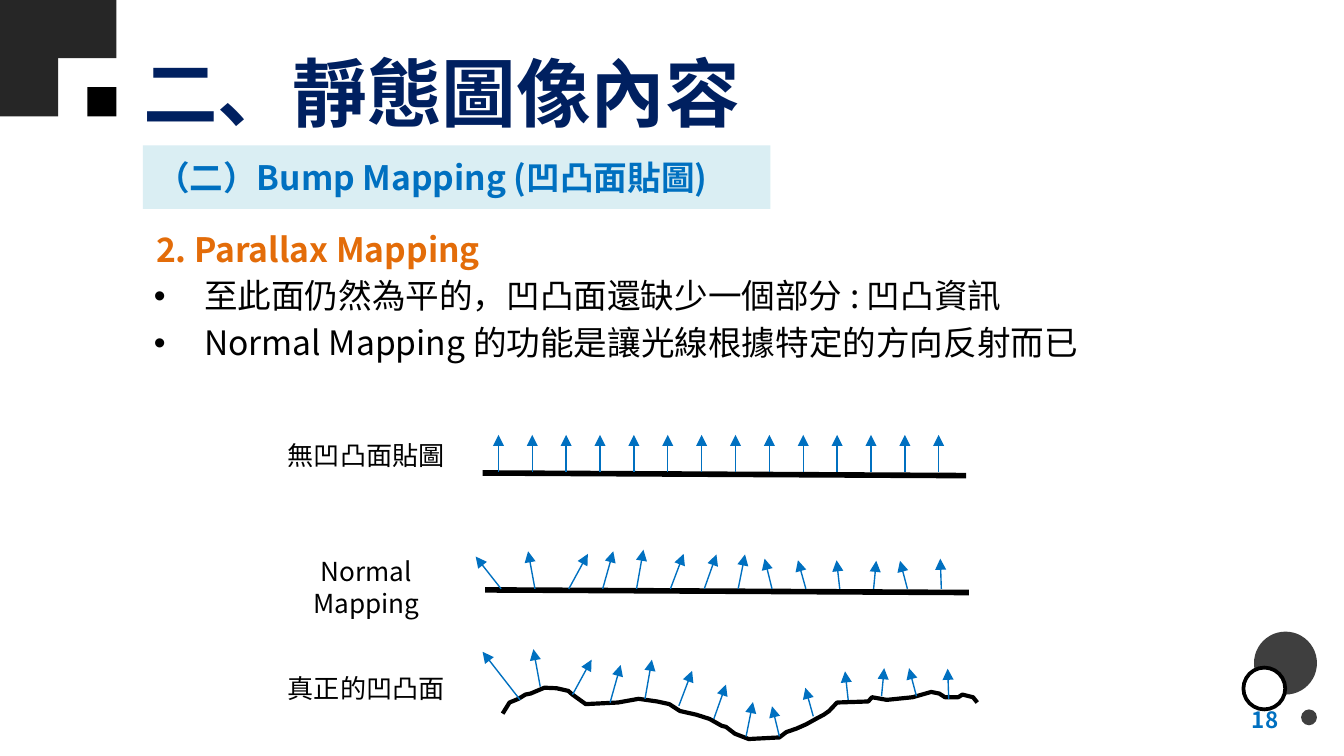
from lxml import etree
from pptx import Presentation
from pptx.dml.color import RGBColor
from pptx.enum.shapes import MSO_CONNECTOR as Connector, MSO_SHAPE as Shape
from pptx.enum.text import MSO_ANCHOR as Anchor, PP_ALIGN as Align
from pptx.oxml.ns import qn
from pptx.util import Cm, Pt

NAVY = RGBColor(0x00, 0x20, 0x60)
BLUE = RGBColor(0x00, 0x70, 0xC0)
PALE = RGBColor(0xDA, 0xEE, 0xF3)
ORANGE = RGBColor(0xE3, 0x6C, 0x09)
BLACK = RGBColor(0x00, 0x00, 0x00)
WHITE = RGBColor(0xFF, 0xFF, 0xFF)
CHARCOAL = RGBColor(0x26, 0x26, 0x26)
GREY = RGBColor(0x3F, 0x3F, 0x3F)

LABELS = ["無凹凸面貼圖", "Normal Mapping", "真正的凹凸面"]
BULLETS = [
    "至此面仍然為平的，凹凸面還缺少一個部分 : 凹凸資訊",
    "Normal Mapping 的功能是讓光線根據特定的方向反射而已",
]

# Centimetres from the foot of each normal to its tip
UPRIGHT = [(0, -0.7)] * 14
LEANS = [
    (-0.48, -0.61), (-0.13, -0.71), (0.36, -0.66), (0.2, -0.71), (0.13, -0.74),
    (0.25, -0.66), (0.23, -0.65), (0.13, -0.65), (-0.14, -0.57), (-0.15, -0.54),
    (-0.06, -0.54), (0.05, -0.53), (-0.14, -0.53), (-0.02, -0.57),
]
BUMP_LEANS = [(-0.71, -0.91)] + LEANS[1:]
BUMP_FEET = [
    (9.83, 13.23), (10.21, 12.98), (10.82, 13.13), (11.53, 13.28), (12.19, 13.21),
    (12.83, 13.34), (13.49, 13.59), (14.1, 13.92), (14.73, 13.92), (15.37, 13.54),
    (16.03, 13.23), (16.66, 13.16), (17.32, 13.16), (17.93, 13.21),
]
# Outline of the bumpy surface, in hundredths of a centimetre
BUMPS = [
    (950, 1349), (963, 1328), (980, 1321), (993, 1313), (1003, 1311), (1029, 1300),
    (1052, 1301), (1074, 1306), (1082, 1313), (1107, 1331), (1168, 1328), (1207, 1321),
    (1242, 1326), (1265, 1331), (1285, 1344), (1316, 1351), (1341, 1359), (1364, 1372),
    (1372, 1374), (1389, 1387), (1415, 1397), (1473, 1394), (1486, 1384), (1506, 1377),
    (1524, 1369), (1542, 1359), (1557, 1351), (1567, 1344), (1582, 1328), (1641, 1326),
    (1648, 1318), (1676, 1323), (1725, 1318), (1760, 1308), (1775, 1311), (1786, 1318),
    (1811, 1318), (1819, 1313), (1839, 1318), (1847, 1328),
]


class Painter:
    font = "Noto Sans CJK TC"

    def __init__(self, slide):
        self.slide = slide

    def shape(self, kind, left, top, width, height, fill, line=None):
        shape = self.slide.shapes.add_shape(kind, Cm(left), Cm(top), Cm(width), Cm(height))
        shape.shadow.inherit = False
        shape.fill.solid()
        shape.fill.fore_color.rgb = fill
        if line is None:
            shape.line.fill.background()
        else:
            shape.line.color.rgb = line
            shape.line.width = Pt(2)
        return shape

    def span(self, para, text, size, color, bold=False):
        span = para.add_run()
        span.text = text
        span.font.name = self.font
        span.font.size = Pt(size)
        span.font.bold = bold
        span.font.color.rgb = color
        etree.SubElement(span._r.get_or_add_rPr(), qn("a:ea"), typeface=self.font)

    def label(self, box, text, size, color, bold=False, align=Align.LEFT, anchor=Anchor.MIDDLE):
        box.text_frame.word_wrap = True
        box.text_frame.vertical_anchor = anchor
        para = box.text_frame.paragraphs[0]
        para.alignment = align
        self.span(para, text, size, color, bold)

    def box(self, left, top, width, height):
        return self.slide.shapes.add_textbox(Cm(left), Cm(top), Cm(width), Cm(height))

    def bullets(self, box, texts, size, color):
        frame = box.text_frame
        frame.word_wrap = True
        for index, text in enumerate(texts):
            para = frame.add_paragraph() if index else frame.paragraphs[0]
            props = para._p.get_or_add_pPr()
            props.set("marL", str(Cm(1.27)))
            props.set("indent", str(Cm(-0.95)))
            etree.SubElement(props, qn("a:buFont"), typeface="Arial")
            etree.SubElement(props, qn("a:buChar"), char="•")
            if index:
                para.space_before = Pt(3.6)
            self.span(para, text, size, color)

    def line(self, start, end, color, width, arrow=False):
        ends = [Cm(value) for value in (*start, *end)]
        line = self.slide.shapes.add_connector(Connector.STRAIGHT, *ends)
        line.line.color.rgb = color
        line.line.width = Pt(width)
        if arrow:
            etree.SubElement(line.line._get_or_add_ln(), qn("a:tailEnd"), type="triangle")
        etree.SubElement(line._element.spPr, qn("a:effectLst"))

    def normals(self, feet, leans):
        """Draw one arrow per foot, leaning by the paired offset."""
        for (x, y), (dx, dy) in zip(feet, leans):
            self.line((x, y), (x + dx, y + dy), BLUE, 0.75, arrow=True)

    def flat_surface(self, left, top, leans):
        self.line((left, top), (left + 9.14, top + 0.05), BLACK, 3)
        feet = [(left + 0.3 + 0.64 * index, top - 0.02) for index in range(len(leans))]
        self.normals(feet, leans)

    def outline(self, points, color, width):
        builder = self.slide.shapes.build_freeform(*points[0], scale=Cm(0.01))
        builder.add_line_segments(points[1:], close=False)
        outline = builder.convert_to_shape()
        outline.shadow.inherit = False
        outline.fill.background()
        outline.line.color.rgb = color
        outline.line.width = Pt(width)


def main():
    deck = Presentation()
    deck.slide_width, deck.slide_height = Cm(25.4), Cm(14.29)
    page = Painter(deck.slides.add_slide(deck.slide_layouts[6]))

    # Corner decorations
    for column, row in [(0, 0), (1, 0), (0, 1)]:
        page.shape(Shape.RECTANGLE, column * 1.1, row * 1.1, 1.1, 1.1, CHARCOAL)
    page.shape(Shape.RECTANGLE, 1.65, 1.65, 0.55, 0.55, BLACK)
    page.shape(Shape.OVAL, 23.7, 11.94, 1.19, 1.19, GREY)
    page.shape(Shape.OVAL, 24.59, 13.41, 0.3, 0.3, GREY)
    page.shape(Shape.OVAL, 23.5, 12.62, 0.79, 0.79, WHITE, BLACK)

    # Headings and page number
    page.label(page.box(2.46, 0.53, 18.67, 2.39), "二、靜態圖像內容", 40, NAVY, True)
    banner = page.shape(Shape.RECTANGLE, 2.7, 2.75, 11.86, 1.2, PALE)
    page.label(banner, "（二）Bump Mapping (凹凸面貼圖)", 18, BLUE, True)
    page.label(page.box(2.7, 4.1, 8.05, 1.2), "2. Parallax Mapping", 18, ORANGE, True)
    page.label(page.box(18.49, 13.23, 5.92, 0.76), "18", 12, BLUE, True, Align.RIGHT)
    page.bullets(page.box(2.34, 5.08, 22.68, 5.33), BULLETS, 18, BLACK)

    # Surfaces with their normals
    for index, label in enumerate(LABELS):
        box = page.box(4.88, 8.18 + 2.2 * index, 4.09, 0.64)
        page.label(box, label, 14, BLACK, align=Align.CENTER, anchor=Anchor.TOP)
    page.flat_surface(9.12, 8.94, UPRIGHT)
    page.flat_surface(9.17, 11.15, LEANS)
    page.outline(BUMPS, BLACK, 2.25)
    page.normals(BUMP_FEET, BUMP_LEANS)

    deck.save("out.pptx")


if __name__ == "__main__":
    main()
